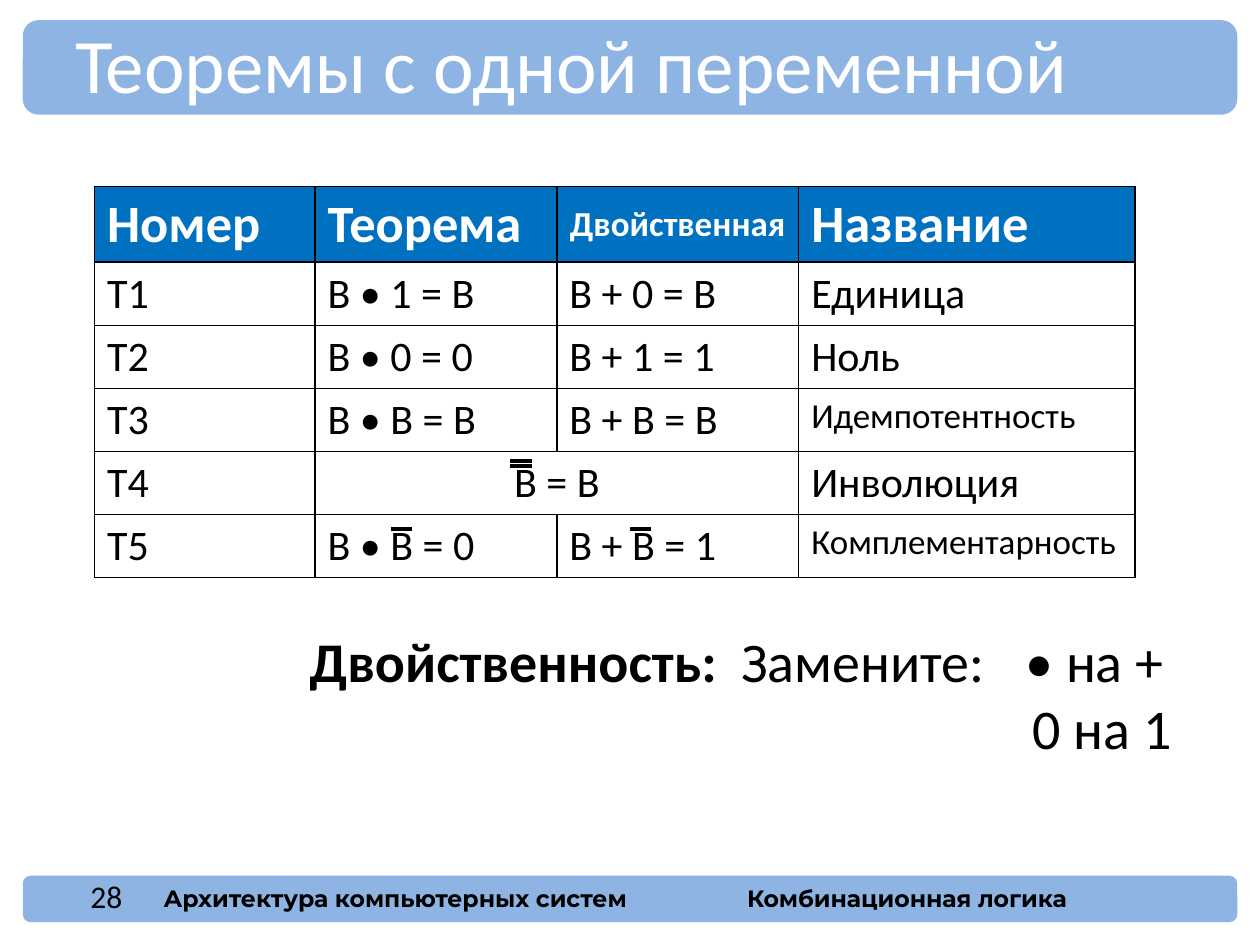
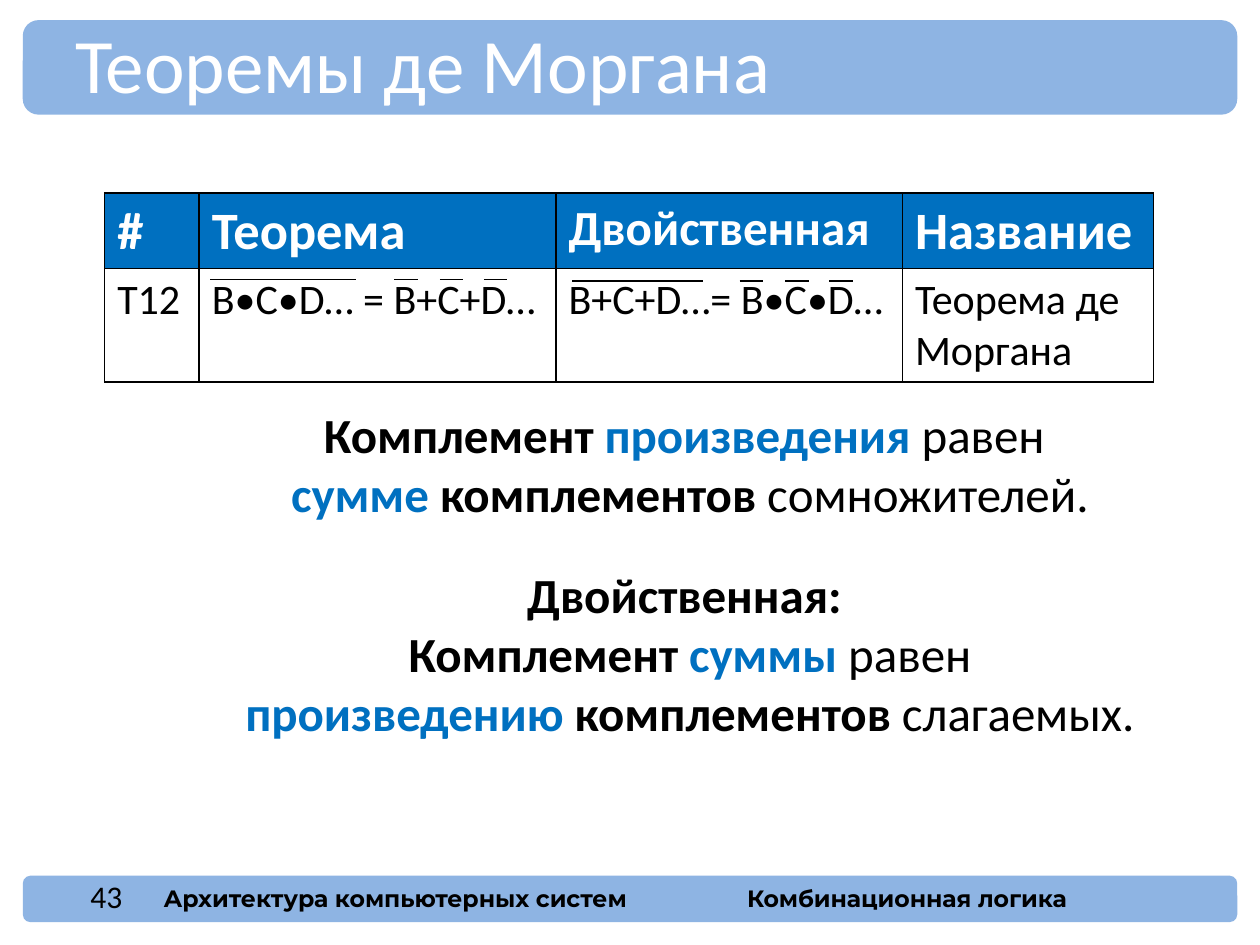
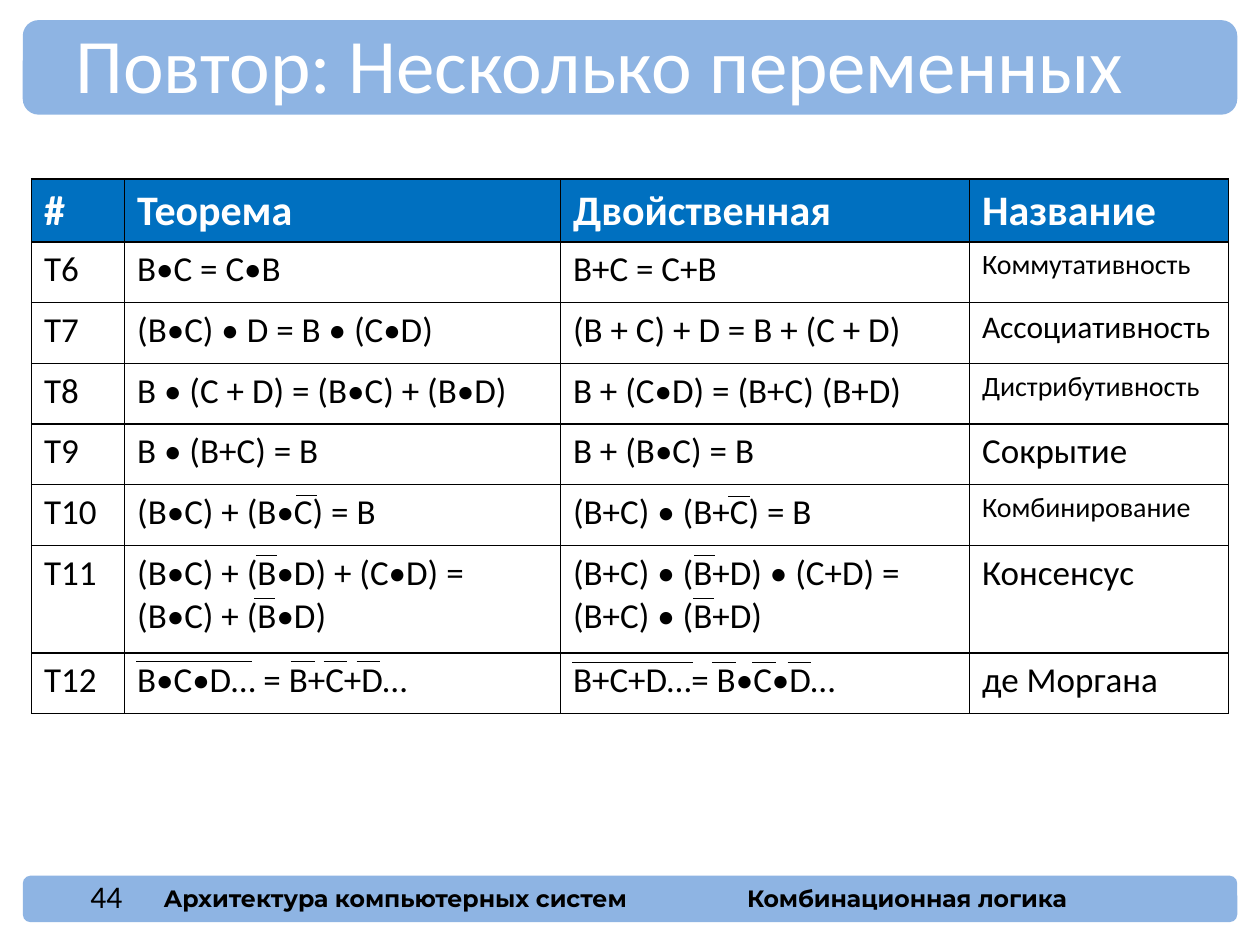
from lxml import etree
from pptx import Presentation
from pptx.dml.color import RGBColor
from pptx.enum.shapes import MSO_CONNECTOR, MSO_SHAPE
from pptx.enum.text import MSO_ANCHOR, PP_ALIGN
from pptx.oxml.ns import qn
from pptx.util import Pt

LEFT, CENTER, RIGHT = PP_ALIGN.LEFT, PP_ALIGN.CENTER, PP_ALIGN.RIGHT
MIDDLE, TOP = MSO_ANCHOR.MIDDLE, MSO_ANCHOR.TOP
STRAIGHT = MSO_CONNECTOR.STRAIGHT
ROUNDED = MSO_SHAPE.ROUNDED_RECTANGLE

COLORS = {"band": "8EB4E3", "accent": "0070C0", "text": "000000", "light": "FFFFFF"}
BODY_FONT, FOOTER_FONT = "Calibri", "Montserrat"

BANDS = [(13, 500.4, 694, 26.6), (13, 11.5, 694, 54)]
FOOTERS = [
    ("Архитектура компьютерных систем", (86.4, 501.8, 319.7, 23.8), LEFT),
    ("Комбинационная логика", (336.2, 501.8, 364.3, 23.8), CENTER),
]

BOLD = {"bold": True}
ACCENT = {"bold": True, "color": "accent"}
SMALL = {"size": 20}

SLIDES = [
    {
        "title": "Теоремы с одной переменной",
        "title_width": 648,
        "number": "28",
        "table": {
            "origin": (54, 106.6),
            "columns": [126, 138.2, 138.2, 192.2],
            "heights": [43.2] + [36] * 5,
            "sizes": (30, 24),
            "merges": [(4, 1, 4, 2)],
            "rows": [
                ["Номер", "Теорема",
                 ("Двойственная", {"size": 20, "align": CENTER, "anchor": MIDDLE}), "Название"],
                ["T1", "B • 1 = B", "B + 0 = B", "Единица"],
                ["T2", "B • 0 = 0", "B + 1 = 1", "Ноль"],
                ["T3", "B • B = B", "B + B = B", ("Идемпотентность", SMALL)],
                ["T4", ("B = B", {"align": CENTER}), None, "Инволюция"],
                ["T5", "B • B = 0", "B + B = 1", ("Комплементарность", SMALL)],
            ],
        },
        "overline_weight": 2,
        "overlines": [
            (302.4, 12.2, [223.2, 360]),
            (266.4, 12.2, [291.6]),
            (263.5, 12.2, [291.6]),
        ],
        "note": {
            "place": (169.9, 354.2, 506.9, 85),
            "size": 32,
            "paragraphs": [
                ([("Двойственность:", BOLD), ("\tЗамените:\t• на +", {})], {"tabs": [246.5, 409]}),
                ([("0 на 1", {})], {"align": RIGHT}),
            ],
        },
    },
    {
        "title": "Теоремы де Моргана",
        "title_width": 624,
        "number": "43",
        "table": {
            "origin": (59.8, 110.2),
            "columns": [54, 203.9, 198, 143.5],
            "heights": [43.2, 64.8],
            "sizes": (30, 24),
            "merges": [],
            "rows": [
                ["#", "Теорема", ("Двойственная", {"size": 28}), "Название"],
                ["T12", "B•C•D… = B+C+D…", "B+C+D…= B•C•D…", "Теорема де Моргана"],
            ],
        },
        "overline_weight": 0.75,
        "overlines": [
            (159.8, 83.5, [120.2]),
            (160.6, 74.9, [326.9]),
            (159.8, 13.5, [225.4, 251.3, 276.5]),
            (160.6, 13.5, [422.6, 448.6, 473.8]),
        ],
        "note": {
            "place": (122.4, 227.5, 543.6, 200.9),
            "size": 28,
            "paragraphs": [
                ([("Комплемент ", BOLD), ("произведения ", ACCENT), ("равен ", {})],
                 {"align": CENTER}),
                ([("сумме ", ACCENT), ("комплементов ", BOLD), ("сомножителей.", {})],
                 {"align": CENTER}),
                ([("Двойственная: ", BOLD)], {"align": CENTER, "before": 24.4}),
                ([("Комплемент ", BOLD), ("суммы ", ACCENT), ("равен", {})], {"align": CENTER}),
                ([("произведению ", ACCENT), ("комплементов ", BOLD), ("слагаемых.", {})],
                 {"align": CENTER}),
            ],
        },
    },
    {
        "title": "Повтор: Несколько переменных",
        "title_width": 624,
        "number": "44",
        "table": {
            "origin": (18, 102.2),
            "columns": [53.2, 249.1, 233.8, 148],
            "heights": [36] + [34.7] * 5 + [61.4, 34.7],
            "sizes": (24, 20),
            "merges": [],
            "rows": [
                ["#", "Теорема", "Двойственная", "Название"],
                ["T6", "B•C = C•B", "B+C = C+B", ("Коммутативность", {"size": 16})],
                ["T7", "(B•C) • D = B • (C•D)", "(B + C) + D = B + (C + D)",
                 ("Ассоциативность", {"size": 18})],
                ["T8", "B • (C + D) = (B•C) + (B•D)", "B + (C•D) = (B+C) (B+D)",
                 ("Дистрибутивность", {"size": 16})],
                ["T9", "B • (B+C) = B", "B + (B•C) = B", "Сокрытие"],
                ["T10", "(B•C) + (B•C) = B", "(B+C) • (B+C) = B",
                 ("Комбинирование", {"size": 16})],
                ["T11", "(B•C) + (B•D) + (C•D) =\n(B•C) + (B•D)",
                 "(B+C) • (B+D) • (C+D) =\n(B+C) • (B+D)", "Консенсус"],
                ["T12", "B•C•D… = B+C+D…", "B+C+D…= B•C•D…", "де Моргана"],
            ],
        },
        "overline_weight": 0.75,
        "overlines": [
            (283, 12.2, [169.2]),
            (283.7, 12.2, [416.2]),
            (317.5, 11.9, [146.2, 396.7]),
            (342, 11.9, [145.4, 396]),
            (378, 66.2, [77.8]),
            (378.7, 69.1, [326.9]),
            (378, 13.5, [166.3, 185, 203.8]),
            (378.7, 13.5, [406.8, 429.8, 450]),
        ],
    },
]


def points(values):
    return [Pt(value) for value in values]


def rgb(name):
    return RGBColor.from_string(COLORS[name])


def write(para, text, font=BODY_FONT, size=18, color="text", bold=False, align=LEFT):
    para.alignment = align
    span = para.add_run()
    span.text = text
    span.font.name = font
    span.font.size = Pt(size)
    span.font.bold = bold
    span.font.color.rgb = rgb(color)


def add_box(page, place):
    frame = page.shapes.add_textbox(*points(place)).text_frame
    frame.word_wrap = True
    return frame


def add_frame(page, title, title_width, number):
    for place in BANDS:
        band = page.shapes.add_shape(ROUNDED, *points(place))
        band.shadow.inherit = False
        band.fill.solid()
        band.fill.fore_color.rgb = rgb("band")
        band.line.fill.background()
    for text, place, align in FOOTERS:
        write(add_box(page, place).paragraphs[0], text, font=FOOTER_FONT, size=13.5,
              bold=True, align=align)
    write(add_box(page, (36, 5.8, title_width, 60.5)).paragraphs[0], title, size=44, color="light")
    write(add_box(page, (-59.8, 497.5, 136.8, 28)).paragraphs[0], number, align=RIGHT)


def set_borders(cell):
    properties = cell._tc.get_or_add_tcPr()
    for index, side in enumerate(("lnL", "lnR", "lnT", "lnB")):
        line = etree.Element(qn("a:" + side), w=str(Pt(1)))
        fill = etree.SubElement(line, qn("a:solidFill"))
        etree.SubElement(fill, qn("a:srgbClr"), val=COLORS["text"])
        properties.insert(index, line)


def add_theorems(page, origin, columns, heights, sizes, merges, rows):
    size = (sum(columns), sum(heights))
    table = page.shapes.add_table(len(rows), len(columns), *points(origin + size)).table
    for column, width in zip(table.columns, columns):
        column.width = Pt(width)
    for row, height in zip(table.rows, heights):
        row.height = Pt(height)
    for top, left, bottom, right in merges:
        table.cell(top, left).merge(table.cell(bottom, right))
    for row_index, row in enumerate(rows):
        header = row_index == 0
        for column_index, content in enumerate(row):
            cell = table.cell(row_index, column_index)
            cell.fill.solid()
            cell.fill.fore_color.rgb = rgb("accent" if header else "light")
            set_borders(cell)
            if content is None:
                continue
            text, options = content if isinstance(content, tuple) else (content, {})
            style = {"size": sizes[0 if header else 1], "bold": header,
                     "color": "light" if header else "text", **options}
            cell.vertical_anchor = style.pop("anchor", TOP)
            for index, line in enumerate(text.split("\n")):
                frame = cell.text_frame
                write(frame.add_paragraph() if index else frame.paragraphs[0], line, **style)


def add_overlines(page, groups, weight):
    for y, length, starts in groups:
        for x in starts:
            bar = page.shapes.add_connector(STRAIGHT, *points((x, y, x + length, y)))
            bar.line.width = Pt(weight)
            bar.line.color.rgb = rgb("text")
            etree.SubElement(bar._element.spPr, qn("a:effectLst"))


def add_note(page, place, size, paragraphs):
    frame = add_box(page, place)
    for index, (spans, layout) in enumerate(paragraphs):
        para = frame.add_paragraph() if index else frame.paragraphs[0]
        if "tabs" in layout:
            stops = etree.SubElement(para._p.get_or_add_pPr(), qn("a:tabLst"))
            for position in layout["tabs"]:
                etree.SubElement(stops, qn("a:tab"), pos=str(Pt(position)), algn="l")
        if "before" in layout:
            para.space_before = Pt(layout["before"])
        for text, style in spans:
            write(para, text, size=size, align=layout.get("align", LEFT), **style)


def main():
    deck = Presentation()
    deck.slide_width, deck.slide_height = Pt(720), Pt(540)
    for content in SLIDES:
        page = deck.slides.add_slide(deck.slide_layouts[6])
        add_frame(page, content["title"], content["title_width"], content["number"])
        add_theorems(page, **content["table"])
        add_overlines(page, content["overlines"], content["overline_weight"])
        if "note" in content:
            add_note(page, **content["note"])
    deck.save("out.pptx")


if __name__ == "__main__":
    main()
